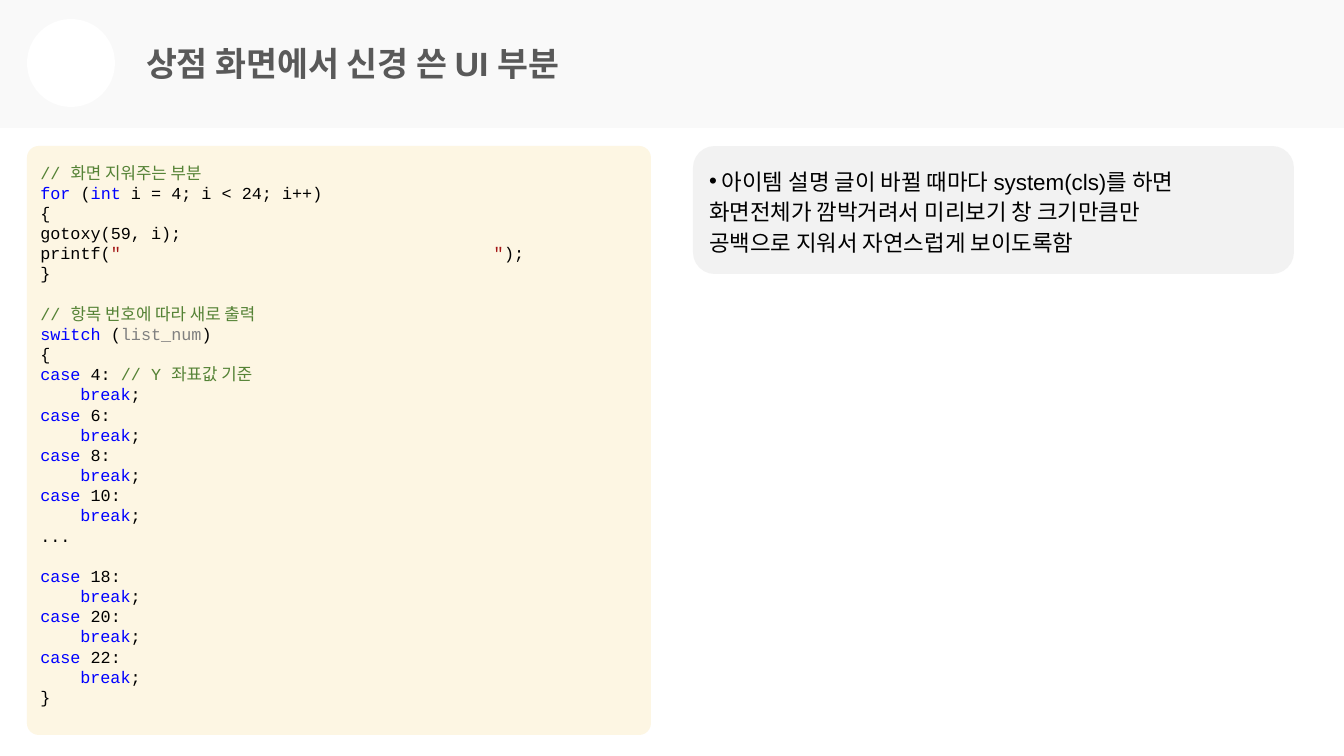
"""Build the slide on the shop screen UI: header, code panel and explanation."""
from lxml import etree
from pptx import Presentation, util as u
from pptx.dml.color import RGBColor
from pptx.enum import shapes, text
from pptx.oxml.ns import qn

PX = 914400 / 100.8
COLORS = {
    "band": "F9F9F9", "white": "FFFFFF", "title": "595959",
    "note": "F2F2F2", "code": "FDF6E3", "plain": "000000",
    "comment": "548235", "keyword": "0000FF", "string": "A31515", "param": "808080",
}


def add_panel(kind, left, top, width, height, color):
    sp = s.shapes.add_shape(kind, *(round(v * PX) for v in (left, top, width, height)))
    sp.shadow.inherit = False
    sp.fill.solid()
    sp.fill.fore_color.rgb = RGBColor.from_string(COLORS[color])
    sp.line.fill.background()
    return sp


def add_run(p, words, size, color, font="Arial", bold=False):
    r = p.add_run()
    r.text = words
    r.font.size = u.Pt(size)
    r.font.name = font
    r.font.bold = bold
    r.font.color.rgb = RGBColor.from_string(COLORS[color])


prs = Presentation()
prs.slide_width, prs.slide_height = round(1344 * PX), round(756 * PX)
s = prs.slides.add_slide(prs.slide_layouts[1])
title, body = s.shapes.title, s.placeholders[1]

add_panel(shapes.MSO_SHAPE.RECTANGLE, 0, 0, 1344, 128, "band")
add_panel(shapes.MSO_SHAPE.OVAL, 27, 19, 88, 88, "white")
note = add_panel(shapes.MSO_SHAPE.ROUNDED_RECTANGLE, 693, 146, 601, 128, "note")
note.adjustments[0] = 0.17
code = add_panel(shapes.MSO_SHAPE.ROUNDED_RECTANGLE, 27, 146, 624, 589, "code")
code.adjustments[0] = 0.02

for sp, box in ((title, (136, 38, 1074, 50)), (body, (699, 146, 589, 128))):
    sp.left, sp.top, sp.width, sp.height = (round(v * PX) for v in box)
    s.shapes._spTree.append(sp._element)
    tf = sp.text_frame
    tf.word_wrap = True
    tf.auto_size = text.MSO_AUTO_SIZE.NONE
    tf.vertical_anchor = text.MSO_ANCHOR.MIDDLE
    tf.paragraphs[0].alignment = text.PP_ALIGN.LEFT

add_run(title.text_frame.paragraphs[0], "상점 화면에서 신경 쓴 UI 부분", 24, "title", bold=True)

p = body.text_frame.paragraphs[0]
p.line_spacing = u.Pt(21.8)
p.space_before = u.Pt(0)
pPr = p._p.get_or_add_pPr()
pPr.set("marL", "0")
pPr.set("indent", "0")
etree.SubElement(pPr, qn("a:buChar")).set("char", "•")
add_run(p, " 아이템 설명 글이 바뀔 때마다 system(cls)를 하면", 16, "plain")
for words in ("화면전체가 깜박거려서 미리보기 창 크기만큼만", "공백으로 지워서 자연스럽게 보이도록함"):
    p.add_line_break()
    add_run(p, words, 16, "plain")

code_lines = [
    [("comment", "// 화면 지워주는 부분")],
    [("keyword", "for"), ("plain", " ("), ("keyword", "int"), ("plain", " i = 4; i < 24; i++)")],
    [("plain", "{")],
    [("plain", "gotoxy(59, i);")],
    [("plain", "printf("), ("string", '"' + " " * 37 + '"'), ("plain", ");")],
    [("plain", "}")],
    [("comment", "// 항목 번호에 따라 새로 출력")],
    [("keyword", "switch"), ("plain", " ("), ("param", "list_num"), ("plain", ")")],
    [("plain", "{")],
]
gap_before = [6]
for number in (4, 6, 8, 10, 18, 20, 22):
    case = [("keyword", "case"), ("plain", f" {number}:")]
    if number == 4:
        case += [("plain", " "), ("comment", "// Y 좌표값 기준")]
    if number == 18:
        code_lines.append([("plain", "...")])
        gap_before.append(len(code_lines))
    code_lines += [case, [("keyword", "break"), ("plain", ";")]]
code_lines.append([("plain", "}")])

tf = code.text_frame
tf.word_wrap = True
tf.vertical_anchor = text.MSO_ANCHOR.TOP
tf.margin_top = round(13 * PX)
for i, line in enumerate(code_lines):
    p = tf.paragraphs[0] if i == 0 else tf.add_paragraph()
    p.alignment = text.PP_ALIGN.LEFT
    p.line_spacing = u.Pt(14.4)
    p.space_before = u.Pt(14.4 if i in gap_before else 0)
    if line[0][1] == "break":
        p._p.get_or_add_pPr().set("marL", str(round(40 * PX)))
    for color, words in line:
        add_run(p, words, 12, color, "Courier New")

prs.save("out.pptx")
